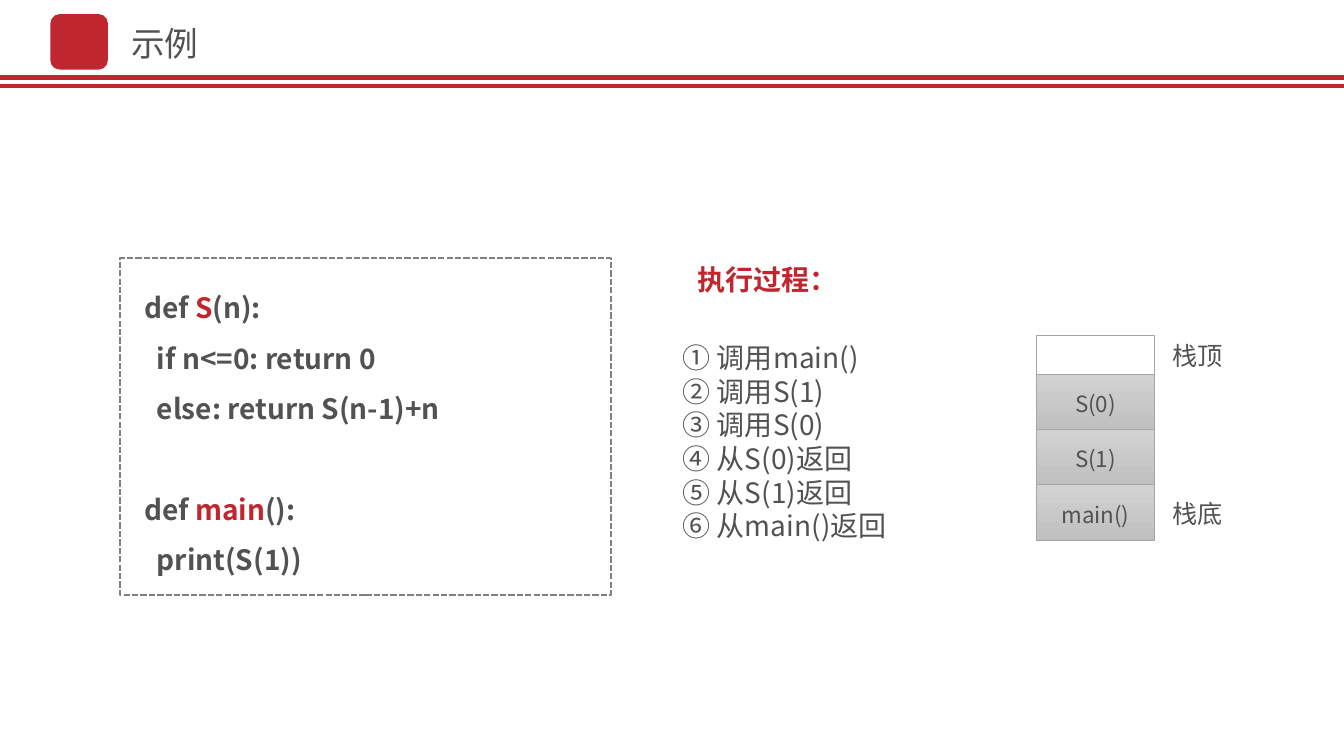
from dataclasses import dataclass
from lxml.etree import SubElement
from pptx import Presentation
from pptx.dml.color import RGBColor
from pptx.enum.dml import MSO_LINE_DASH_STYLE as Dash
from pptx.enum.shapes import MSO_CONNECTOR as Connector, MSO_SHAPE as Shape
from pptx.enum.text import MSO_ANCHOR as Anchor, MSO_AUTO_SIZE as AutoSize, PP_ALIGN as Align
from pptx.oxml.ns import qn
from pptx.util import Inches, Pt

TITLE = "示例"
HEADING = "执行过程："
STEPS = ["① 调用main()", "② 调用S(1)", "③ 调用S(0)",
         "④ 从S(0)返回", "⑤ 从S(1)返回", "⑥ 从main()返回"]
CODE = [
    {"spans": ["def ", "S", "(n):"]},
    {"spans": ["if n<=0: return 0"], "level": 1},
    {"spans": ["else: return S(n-1)+n"], "level": 1},
    {"spans": ["def ", "main", "():"], "gap": 36},
    {"spans": ["print(S(1))"], "level": 1},
]
FRAMES = ["S(0)", "S(1)", "main()"]
STACK_LABELS = [("栈顶", 3.33), ("栈底", 4.89)]
RULES = [0.77, 0.85]


@dataclass(frozen=True)
class Theme:
    font: str = "Noto Sans CJK SC"
    red: str = "C0262E"
    text: str = "525252"
    dash: str = "808080"
    edge: str = "A5A5A5"
    frame_top: str = "D2D2D2"
    frame_bottom: str = "C0C0C0"
    title: int = 24
    body: int = 20
    label: int = 18
    frame: int = 16


THEME = Theme()


def rgb(value):
    return RGBColor.from_string(value)


def place(box, left, top, width, height):
    box.left, box.top = Inches(left), Inches(top)
    box.width, box.height = Inches(width), Inches(height)


def add_span(para, text, size, color=THEME.text, bold=False):
    span = para.add_run()
    span.text = text
    span.font.size = Pt(size)
    span.font.bold = bold
    span.font.color.rgb = rgb(color)
    span.font.name = THEME.font
    SubElement(span.font._element, qn("a:ea"), typeface=THEME.font)


def set_frame(box, margins=(0.1, 0.05, 0.1, 0.05), anchor=Anchor.TOP, wrap=True):
    frame = box.text_frame
    frame.auto_size = AutoSize.NONE
    frame.word_wrap = wrap
    frame.vertical_anchor = anchor
    (frame.margin_left, frame.margin_top,
     frame.margin_right, frame.margin_bottom) = map(Inches, margins)
    return frame


def add_label(page, text, at, size, color=THEME.text, bold=False):
    box = page.shapes.add_textbox(*map(Inches, at))
    add_span(set_frame(box).paragraphs[0], text, size, color, bold)


def add_box(page, at, line, weight, kind=Shape.RECTANGLE):
    box = page.shapes.add_shape(kind, *map(Inches, at))
    box.shadow.inherit = False
    box.fill.background()
    box.line.color.rgb = rgb(line)
    box.line.width = Pt(weight)
    return box


def next_para(frame, index):
    return frame.add_paragraph() if index else frame.paragraphs[0]


def add_header(page):
    for top in RULES:
        rule = page.shapes.add_connector(
            Connector.STRAIGHT, 0, Inches(top), Inches(13.33), Inches(top))
        rule.line.color.rgb = rgb(THEME.red)
        rule.line.width = Pt(3)
        SubElement(rule._element.spPr, qn("a:effectLst"))
    badge = add_box(page, (0.5, 0.14, 0.57, 0.55), THEME.red, 0.5, Shape.ROUNDED_RECTANGLE)
    badge.fill.solid()
    badge.fill.fore_color.rgb = rgb(THEME.red)
    badge.line.fill.background()
    title = page.shapes.title
    place(title, 1.2, 0.18, 0.87, 0.5)
    para = set_frame(title, anchor=Anchor.MIDDLE, wrap=False).paragraphs[0]
    para.alignment = Align.LEFT
    add_span(para, TITLE, THEME.title)


def add_stack(page):
    left, top, width, height = 10.28, 3.33, 1.17, 2.03
    frame_height = 0.55
    first = top + height - frame_height * len(FRAMES)
    for index, name in enumerate(FRAMES):
        at = (left, first + index * frame_height, width, frame_height)
        box = add_box(page, at, THEME.edge, 0.5)
        box.fill.gradient()
        box.fill.gradient_angle = 270
        for stop, color in zip(box.fill.gradient_stops, (THEME.frame_top, THEME.frame_bottom)):
            stop.color.rgb = rgb(color)
        para = set_frame(box, (0.1, 0.16, 0.1, 0.05)).paragraphs[0]
        para.alignment = Align.CENTER
        add_span(para, name, THEME.frame)
    add_box(page, (left, top, width, height), THEME.edge, 0.5)
    for text, label_top in STACK_LABELS:
        add_label(page, text, (11.53, label_top, 0.86, 0.4), THEME.label)


def add_steps(page):
    add_label(page, HEADING, (6.82, 2.56, 1.98, 0.44), THEME.body, THEME.red, True)
    body = page.placeholders[1]
    place(body, 6.67, 3.33, 2.58, 2.12)
    frame = set_frame(body)
    for index, step in enumerate(STEPS):
        para = next_para(frame, index)
        para.line_spacing = Pt(24)
        para.space_before = Pt(0)
        props = para._p.get_or_add_pPr()
        props.set("marL", "0")
        props.set("indent", "0")
        SubElement(props, qn("a:buNone"))
        add_span(para, step, THEME.body)


def add_code(page):
    box = add_box(page, (1.19, 2.56, 4.87, 3.34), THEME.dash, 1.5)
    box.line.dash_style = Dash.SQUARE_DOT
    frame = set_frame(box, (0.24, 0.16, 0.1, 0.16))
    for index, row in enumerate(CODE):
        para = next_para(frame, index)
        para.alignment = Align.LEFT
        para.line_spacing = 1.5
        para.space_before = Pt(row.get("gap", 0))
        indent = Inches(0.125 * row.get("level", 0))
        para._p.get_or_add_pPr().set("marL", str(int(indent)))
        for position, text in enumerate(row["spans"]):
            color = THEME.red if position == 1 else THEME.text
            add_span(para, text, THEME.body, color, True)


def main():
    deck = Presentation()
    deck.slide_width, deck.slide_height = Inches(13.33), Inches(7.5)
    page = deck.slides.add_slide(deck.slide_layouts[1])
    add_header(page)
    add_stack(page)
    add_steps(page)
    add_code(page)
    deck.save("out.pptx")


if __name__ == "__main__":
    main()
